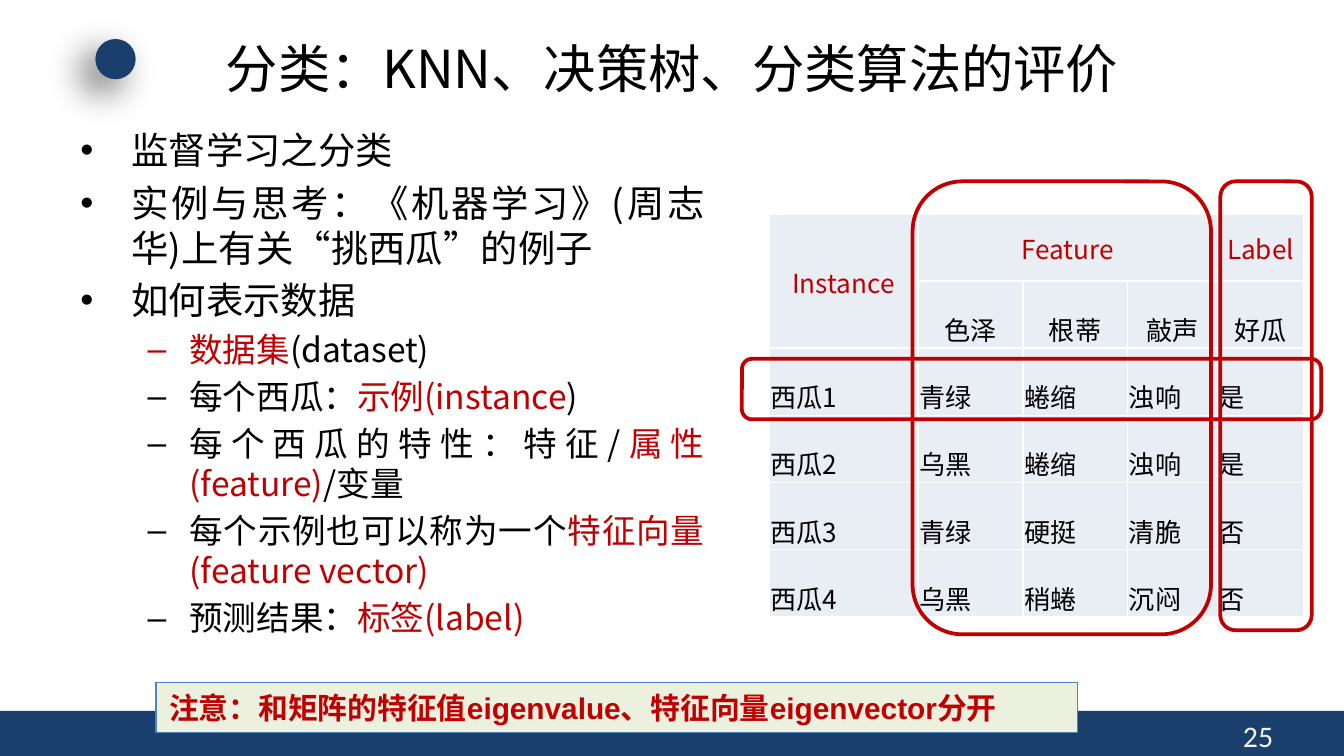
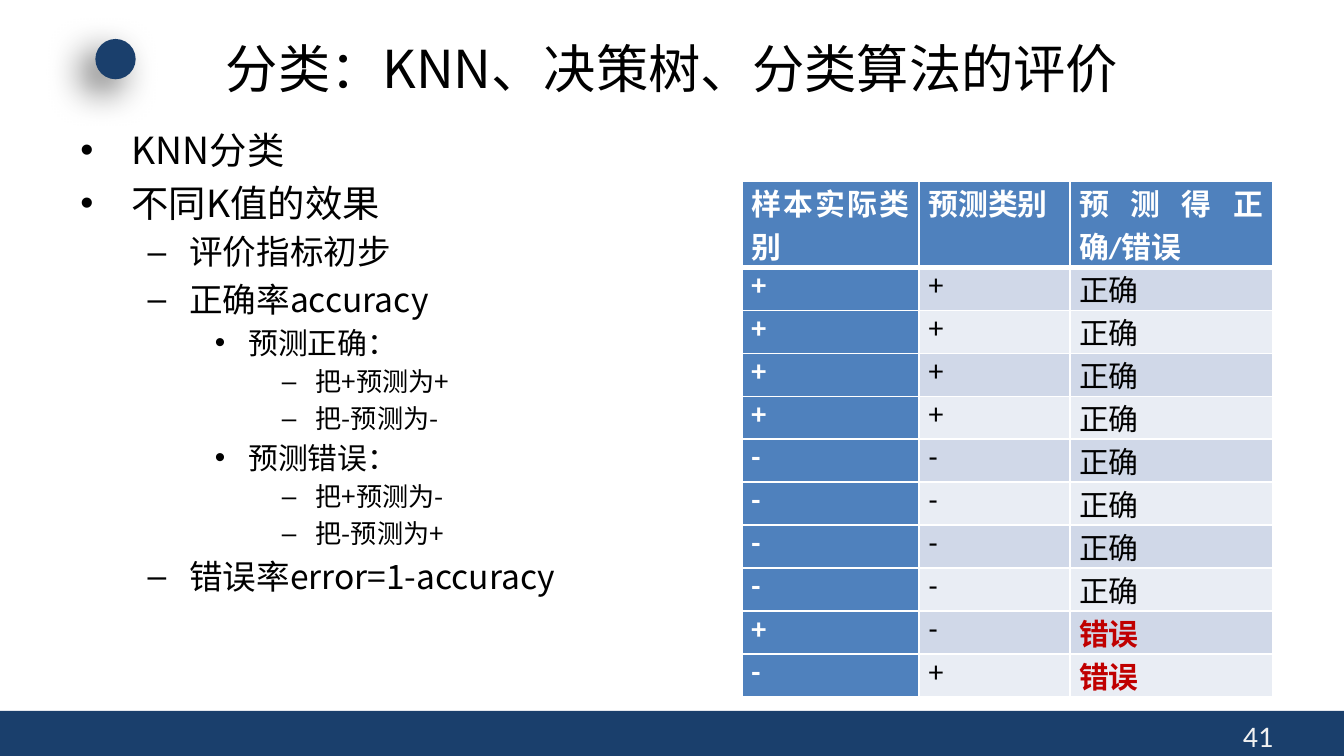
from dataclasses import dataclass
from lxml.etree import SubElement
from pptx import Presentation
from pptx.dml.color import RGBColor
from pptx.enum.lang import MSO_LANGUAGE_ID
from pptx.enum.shapes import MSO_SHAPE
from pptx.enum.text import MSO_ANCHOR, PP_ALIGN
from pptx.oxml import parse_xml
from pptx.oxml.ns import nsdecls, qn
from pptx.util import Inches, Pt


@dataclass(frozen=True)
class Theme:
    navy: str = "1A3F6C"
    blue: str = "4F81BD"
    red: str = "C00000"
    black: str = "000000"
    white: str = "FFFFFF"
    page: str = "F2F2F2"
    note: str = "EBF1DE"
    band_dark: str = "D0D8E8"
    band_light: str = "E9EDF4"
    cjk: str = "Noto Sans CJK SC"
    calibri: str = "Calibri"
    arial: str = "Arial"
    title_size: int = 28
    note_size: int = 16
    page_size: int = 16
    feature_size: int = 14
    result_size: int = 16
    level_sizes: tuple = (20, 18, 16, 14)


T = Theme()
TITLE = "分类：KNN、决策树、分类算法的评价"
INDENTS = ((0.38, 0.38), (0.81, 0.31), (1.25, 0.25), (1.75, 0.25))
BULLETS = "•–•–"

CLASSIFY_POINTS = [
    (0, "监督学习之分类"),
    (0, "实例与思考：《机器学习》(周志华)上有关“挑西瓜”的例子"),
    (0, "如何表示数据"),
    (1, "|数据集|(dataset)"),
    (1, "每个西瓜：|示例(instance|)"),
    (1, "每个西瓜的特性：特征/|属性(feature)|/变量"),
    (1, "每个示例也可以称为一个|特征向量(feature vector)"),
    (1, "预测结果：|标签(label)"),
]
KNN_POINTS = [
    (0, "KNN分类"),
    (0, "不同K值的效果"),
    (1, "评价指标初步"),
    (1, "正确率accuracy"),
    (2, "预测正确："),
    (3, "把+预测为+"),
    (3, "把-预测为-"),
    (2, "预测错误："),
    (3, "把+预测为-"),
    (3, "把-预测为+"),
    (1, "错误率error=1-accuracy"),
]
MELONS = [
    ("Instance", "Feature", "", "", "Label"),
    ("", "色泽", "根蒂", "敲声", "好瓜"),
    ("西瓜1", "青绿", "蜷缩", "浊响", "是"),
    ("西瓜2", "乌黑", "蜷缩", "浊响", "是"),
    ("西瓜3", "青绿", "硬挺", "清脆", "否"),
    ("西瓜4", "乌黑", "稍蜷", "沉闷", "否"),
]
PREDICTIONS = ["++"] * 4 + ["--"] * 4 + ["+-", "-+"]


def rgb(color):
    return RGBColor.from_string(color)


def style_run(r, size, color, font=T.cjk, bold=False):
    r.font.size = Pt(size)
    r.font.name = font
    r.font.bold = bold
    r.font.color.rgb = rgb(color)
    r.font.language_id = MSO_LANGUAGE_ID.SIMPLIFIED_CHINESE
    ea = SubElement(r.font._element, qn("a:ea"))
    ea.set("typeface", T.cjk)


def set_text(tf, text, size, color, font=T.cjk, bold=False, align=PP_ALIGN.LEFT):
    tf.text = text
    p = tf.paragraphs[0]
    p.alignment = align
    for r in p.runs:
        style_run(r, size, color, font, bold)


def add_text(slide, box, text, size, color, font=T.cjk, **kwargs):
    tf = slide.shapes.add_textbox(*map(Inches, box)).text_frame
    tf.word_wrap = True
    tf.vertical_anchor = kwargs.pop("anchor", MSO_ANCHOR.TOP)
    set_text(tf, text, size, color, font, **kwargs)


def add_box(slide, kind, box, fill=None, line=None, width=1):
    sp = slide.shapes.add_shape(kind, *map(Inches, box))
    sp.shadow.inherit = False
    if fill:
        sp.fill.solid()
        sp.fill.fore_color.rgb = rgb(fill)
    else:
        sp.fill.background()
    if line:
        sp.line.color.rgb = rgb(line)
        sp.line.width = Pt(width)
    else:
        sp.line.fill.background()
    return sp


def add_frame(slide, number):
    add_box(slide, MSO_SHAPE.RECTANGLE, (0, 5.29, 10, 0.34), T.navy)
    add_text(slide, (9.15, 5.29, 0.8, 0.3), str(number), T.page_size, T.page, T.calibri)
    dot = add_box(slide, MSO_SHAPE.OVAL, (0.71, 0.29, 0.3, 0.3), T.navy)
    effects = dot._element.spPr.find(qn("a:effectLst"))
    effects.append(parse_xml(
        f'<a:outerShdw {nsdecls("a")} blurRad="{Pt(20)}" dist="{Pt(10)}" dir="8100000"'
        f' algn="tr" rotWithShape="0"><a:srgbClr val="{T.black}">'
        '<a:alpha val="60000"/></a:srgbClr></a:outerShdw>'))
    add_text(slide, (0.5, 0.23, 9, 0.55), TITLE, T.title_size, T.black,
             align=PP_ALIGN.CENTER, anchor=MSO_ANCHOR.MIDDLE)


def add_bullets(slide, points, width, align):
    sp = slide.shapes.add_textbox(*map(Inches, (0.5, 0.9, width, 4.31)))
    tf = sp.text_frame
    tf.word_wrap = True
    for i, (level, text) in enumerate(points):
        p = tf.add_paragraph() if i else tf.paragraphs[0]
        size = T.level_sizes[level]
        left, hang = INDENTS[level]
        pPr = p._p.get_or_add_pPr()
        pPr.set("marL", str(Inches(left)))
        pPr.set("indent", str(-Inches(hang)))
        SubElement(pPr, qn("a:buFont")).set("typeface", T.arial)
        SubElement(pPr, qn("a:buChar")).set("char", BULLETS[level])
        p.level = level
        p.alignment = align
        if i:
            p.space_before = Pt(size * 0.2)
        for j, part in enumerate(text.split("|")):
            if part:
                r = p.add_run()
                r.text = part
                style_run(r, size, T.red if j % 2 else T.black)


def add_grid(slide, left, top, cols, rows):
    table = slide.shapes.add_table(
        len(rows), len(cols), Inches(left), Inches(top),
        Inches(sum(cols)), Inches(sum(rows))).table
    table.first_row = table.horz_banding = False
    for col, width in zip(table.columns, cols):
        col.width = Inches(width)
    for row, height in zip(table.rows, rows):
        row.height = Inches(height)
    return table


def format_cell(cell, fill, margins, anchor=MSO_ANCHOR.TOP, top=1, bottom=1):
    cell.fill.solid()
    cell.fill.fore_color.rgb = rgb(fill)
    cell.vertical_anchor = anchor
    (cell.margin_left, cell.margin_top,
     cell.margin_right, cell.margin_bottom) = map(Inches, margins)
    tcPr = cell._tc.get_or_add_tcPr()
    for i, (side, width) in enumerate(zip("LRTB", (1, 1, top, bottom))):
        tcPr.insert(i, parse_xml(
            f'<a:ln{side} {nsdecls("a")} w="{Pt(width)}"><a:solidFill>'
            f'<a:srgbClr val="{T.white}"/></a:solidFill></a:ln{side}>'))


def add_melon_table(slide):
    table = add_grid(slide, 5.72, 1.59, (1.11, 0.78, 0.78, 0.67, 0.64), [0.5] * 6)
    for i, row in enumerate(MELONS):
        for j, text in enumerate(row):
            cell = table.cell(i, j)
            heading = i == 0
            format_cell(cell, T.band_light, (0.01, 0.01, 0.01, 0),
                        MSO_ANCHOR.MIDDLE if heading else MSO_ANCHOR.BOTTOM)
            if text:
                set_text(cell.text_frame, text, T.feature_size,
                         T.red if heading else T.black,
                         align=PP_ALIGN.CENTER if i < 2 else PP_ALIGN.LEFT)
    table.cell(0, 0).merge(table.cell(1, 0))
    table.cell(0, 1).merge(table.cell(0, 3))


def add_prediction_table(slide):
    rows = [("样本实际类别", "预测类别", "预测得正确/错误")]
    rows += [(a, b, "正确" if a == b else "错误") for a, b in PREDICTIONS]
    table = add_grid(slide, 5.52, 1.35, (1.32, 1.12, 1.51), [0.64] + [0.32] * 10)
    for i, row in enumerate(rows):
        for j, text in enumerate(row):
            cell = table.cell(i, j)
            heading = i == 0 or j == 0
            wrong = text == "错误"
            band = T.band_dark if i % 2 else T.band_light
            color = T.white if heading else T.red if wrong else T.black
            format_cell(cell, T.blue if heading else band, (0.07, 0, 0.07, 0),
                        top=3 if i == 1 else 1, bottom=3 if i == 0 else 1)
            set_text(cell.text_frame, text, T.result_size, color, T.calibri,
                     heading or wrong, PP_ALIGN.JUSTIFY)


def add_note(slide, text):
    sp = add_box(slide, MSO_SHAPE.RECTANGLE, (1.16, 5.08, 6.86, 0.37),
                 T.note, T.blue, 0.75)
    sp.text_frame.vertical_anchor = MSO_ANCHOR.MIDDLE
    set_text(sp.text_frame, text, T.note_size, T.red, T.arial, True)


def add_highlights(slide):
    instance = (5.52, 2.67, 4.31, 0.45)
    feature = (6.79, 1.35, 2.22, 3.37)
    label = (9.08, 1.35, 0.68, 3.34)
    for box in (instance, feature, label):
        add_box(slide, MSO_SHAPE.ROUNDED_RECTANGLE, box, line=T.red, width=2)


def add_slide(prs, number):
    slide = prs.slides.add_slide(prs.slide_layouts[6])
    add_frame(slide, number)
    return slide


def main():
    prs = Presentation()
    prs.slide_width = Inches(10)
    prs.slide_height = prs.slide_width * 9 // 16

    slide = add_slide(prs, 25)
    add_bullets(slide, CLASSIFY_POINTS, 4.84, PP_ALIGN.JUSTIFY)
    add_melon_table(slide)
    add_note(slide, "注意：和矩阵的特征值eigenvalue、特征向量eigenvector分开")
    add_highlights(slide)

    slide = add_slide(prs, 41)
    add_bullets(slide, KNN_POINTS, 9, PP_ALIGN.LEFT)
    add_prediction_table(slide)

    prs.save("out.pptx")


if __name__ == "__main__":
    main()
